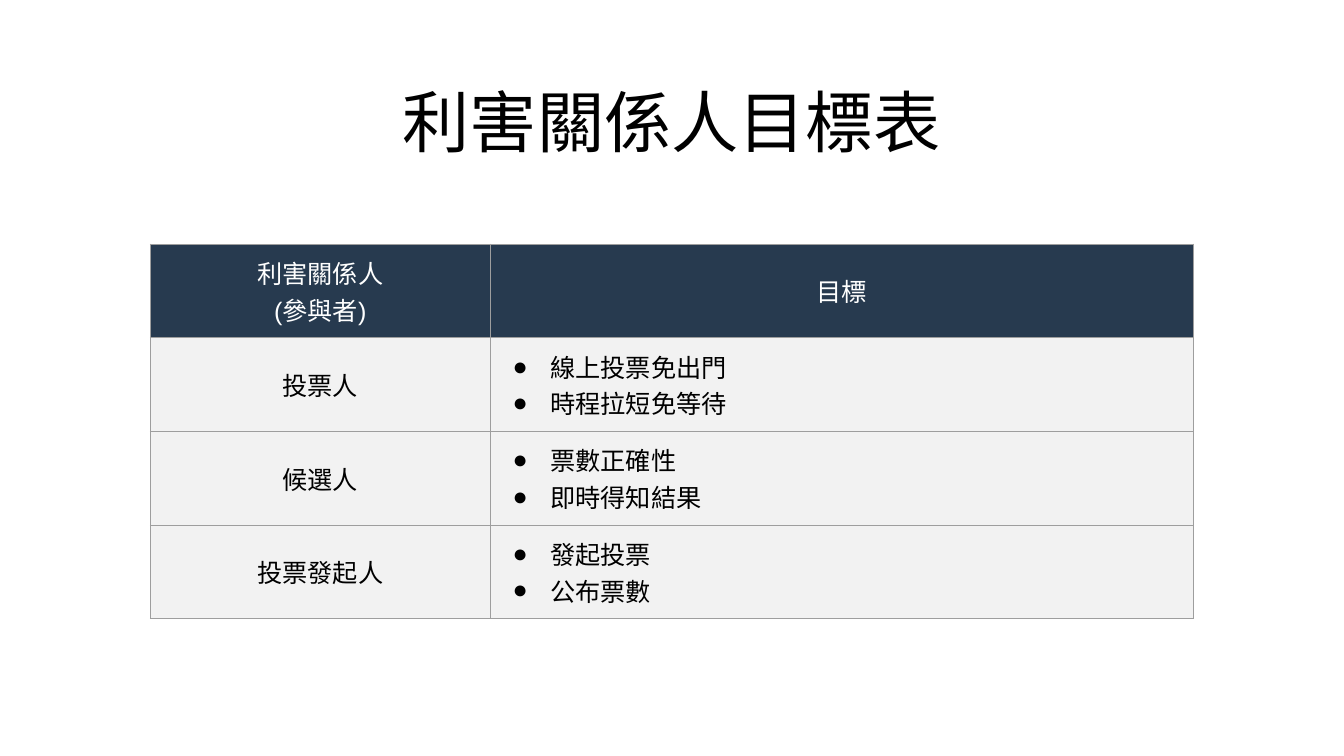
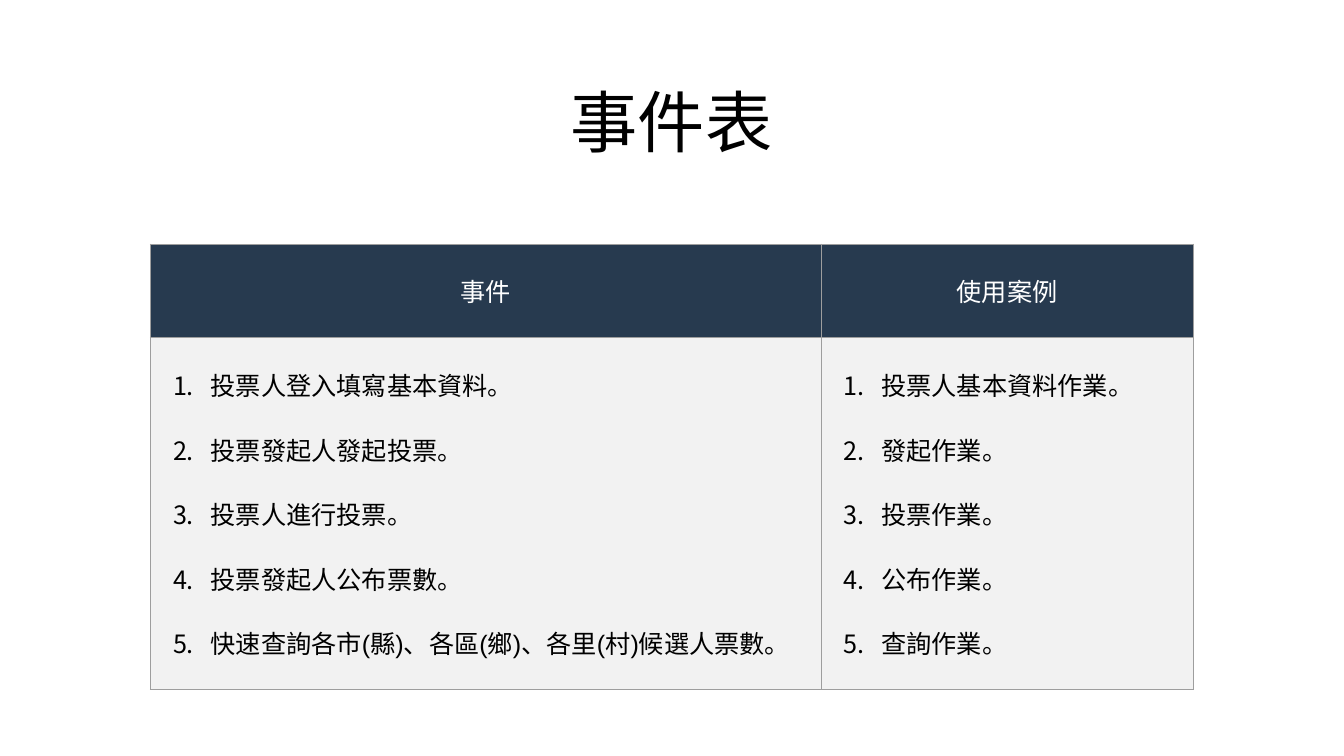
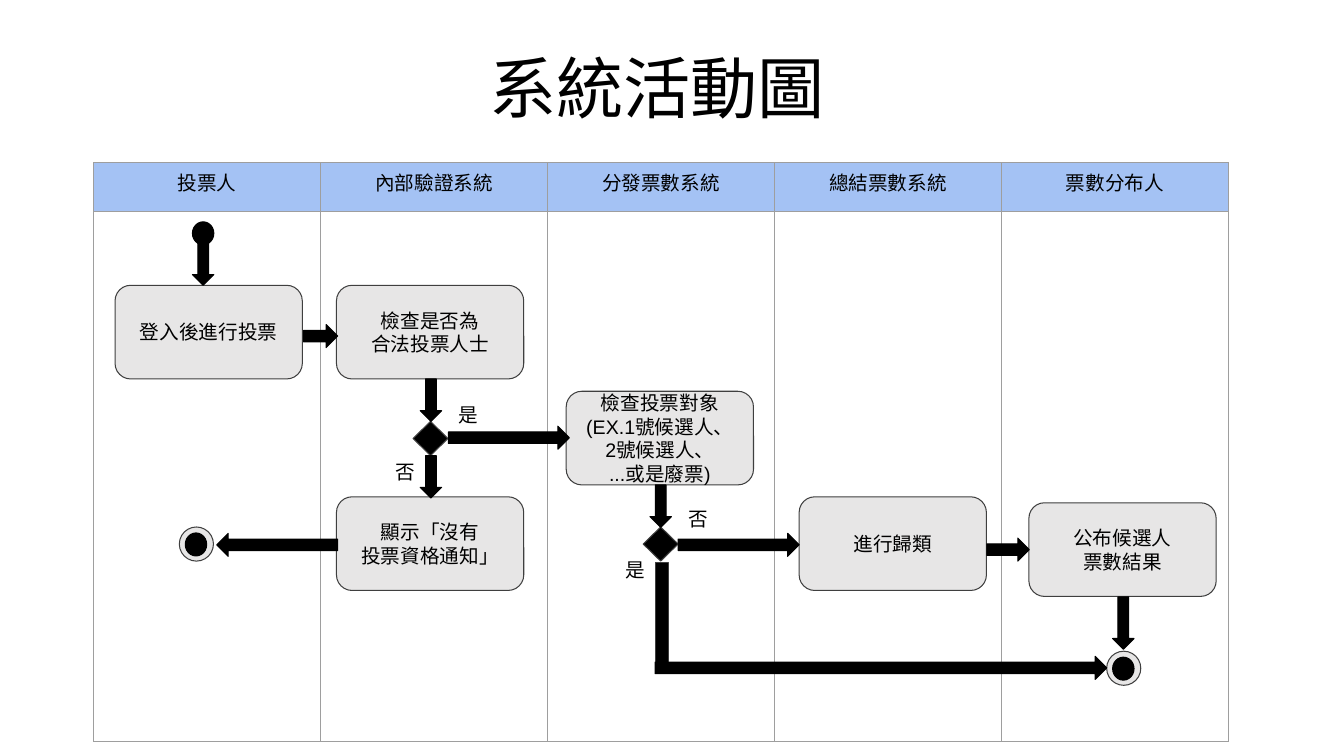
from lxml import etree
from pptx import Presentation
from pptx import util as u
from pptx.dml.color import RGBColor
from pptx.enum import shapes, text
from pptx.oxml import ns

FONT = "Arial"
BLACK, WHITE, NAVY, PALE = "000000", "FFFFFF", "273A4F", "F2F2F2"
BLUE, GREY, OUTLINE, BORDER = "A4C2F4", "E7E6E6", "3F3F3F", "9E9E9E"
INSET = 0.25
TABLE_LEFT, TABLE_TOP, HEADER_HEIGHT = 3.79, 6.15, 2.36
TITLE_BOX = (9.8, 1.78, 14.25, 2.26)

# A cell is (lines, list kind); the kind is None, "bullet" or "number".
GOALS = {
    "title": "利害關係人目標表",
    "columns": [8.56, 17.73],
    "rows": [2.36] * 4,
    "cells": [
        [(["利害關係人", "(參與者)"], None), (["目標"], None)],
        [(["投票人"], None), (["線上投票免出門", "時程拉短免等待"], "bullet")],
        [(["候選人"], None), (["票數正確性", "即時得知結果"], "bullet")],
        [(["投票發起人"], None), (["發起投票", "公布票數"], "bullet")],
    ],
}
EVENTS = {
    "title": "事件表",
    "columns": [16.9, 9.38],
    "rows": [2.36, 8.87],
    "cells": [
        [(["事件"], None), (["使用案例"], None)],
        [(["投票人登入填寫基本資料。", "投票發起人發起投票。", "投票人進行投票。",
           "投票發起人公布票數。",
           "快速查詢各市(縣)、各區(鄉)、各里(村)候選人票數。"], "number"),
         (["投票人基本資料作業。", "發起作業。", "投票作業。", "公布作業。",
           "查詢作業。"], "number")],
    ],
}

ACTIVITY_TITLE = "系統活動圖"
ACTIVITY_TITLE_BOX = (2.26, 0.79, 28.6, 2.79)
LANES = ["投票人", "內部驗證系統", "分發票數系統", "總結票數系統", "票數分布人"]
LANES_LEFT, LANES_TOP, LANE_WIDTH, LANE_ROWS = 2.36, 4.1, 5.72, [1.23, 13.36]

STEP_SIZE = (4.72, 2.36)
STEPS = [  # left, top, lines
    (2.9, 7.19, ["登入後進行投票"]),
    (8.48, 7.19, ["檢查是否為", "合法投票人士"]),
    (14.27, 9.86, ["檢查投票對象(EX.1號候選人、", "2號候選人、", "...或是廢票)"]),
    (8.48, 12.52, ["顯示「沒有", "投票資格通知」"]),
    (20.14, 12.52, ["進行歸類"]),
    (25.93, 12.67, ["公布候選人", "票數結果"]),
]
DOT_SIZE = (0.54, 0.58)
START = (4.85, 5.59)
END_SIZE, END_RIM = 0.86, 0.15
ENDS = [(4.52, 13.28), (27.89, 16.41)]
DECISION_SIZE = (0.88, 0.86)
DECISIONS = [(10.41, 10.62), (16.21, 13.28)]
ARROW_THICKNESS = {"down": 0.54, "right": 0.58, "left": 0.58}
ARROWS = [  # direction, left, top, length
    ("down", 4.85, 5.87, 1.32), ("down", 10.59, 9.55, 1.07),
    ("down", 10.59, 11.48, 1.07), ("down", 16.38, 12.22, 1.07),
    ("down", 28.04, 15.04, 1.32), ("right", 7.65, 8.18, 0.86),
    ("right", 11.3, 10.74, 3.05), ("left", 5.46, 13.44, 3.05),
    ("right", 17.09, 13.44, 3.05), ("right", 24.87, 13.56, 1.07),
    ("right", 16.51, 16.54, 11.38),
]
ELBOW = (16.51, 14.17, 0.33, 2.79)
LABEL_SIZE = 0.86
LABELS = [("是", 11.3, 9.91), ("否", 9.73, 11.33), ("否", 17.09, 12.52),
          ("是", 15.52, 13.82)]


def color(value):
    """Turn a hex string into a colour."""
    return RGBColor.from_string(value)


def lengths(*values):
    """Turn centimetres into slide lengths."""
    return [u.Cm(value) for value in values]


def write(frame, lines, size, ink=BLACK, centred=True, east_asian=True):
    """Fill a text frame with one paragraph per line and style its runs."""
    frame.text = "\n".join(lines)
    for paragraph in frame.paragraphs:
        if centred:
            paragraph.alignment = text.PP_ALIGN.CENTER
        for run in paragraph.runs:
            run.font.name = FONT
            run.font.size = u.Pt(size)
            run.font.bold = False
            run.font.color.rgb = color(ink)
            if east_asian:
                latin = run.font._element.find(ns.qn("a:latin"))
                face = etree.Element(ns.qn("a:ea"), typeface=FONT)
                latin.addnext(face)


def set_insets(holder):
    """Give a text frame or a cell equal margins on all sides."""
    holder.margin_left = holder.margin_right = u.Cm(INSET)
    holder.margin_top = holder.margin_bottom = u.Cm(INSET)


def add_text(slide, box, lines, size, centred=True, anchor=text.MSO_ANCHOR.TOP):
    """Add a wrapping text box."""
    frame = slide.shapes.add_textbox(*lengths(*box)).text_frame
    frame.word_wrap = True
    frame.vertical_anchor = anchor
    set_insets(frame)
    write(frame, lines, size, centred=centred)


def add_list_marks(paragraph, kind):
    """Give a paragraph a hanging bullet or number."""
    properties = paragraph._p.get_or_add_pPr()
    properties.set("marL", str(u.Cm(1.27)))
    properties.set("indent", str(-u.Cm(0.95)))
    ink = etree.SubElement(properties, ns.qn("a:buClr"))
    etree.SubElement(ink, ns.qn("a:srgbClr"), val=BLACK)
    if kind == "bullet":
        etree.SubElement(properties, ns.qn("a:buFont"), typeface=FONT)
        etree.SubElement(properties, ns.qn("a:buChar"), char="●")
    else:
        etree.SubElement(properties, ns.qn("a:buAutoNum"), type="arabicPeriod")


def add_borders(cell):
    """Draw a thin grey line on every side of a cell."""
    properties = cell._tc.get_or_add_tcPr()
    for place, side in enumerate(("lnL", "lnR", "lnT", "lnB")):
        line = etree.Element(ns.qn("a:" + side), w=str(u.Pt(0.75)))
        fill = etree.SubElement(line, ns.qn("a:solidFill"))
        etree.SubElement(fill, ns.qn("a:srgbClr"), val=BORDER)
        properties.insert(place, line)


def add_grid(slide, left, top, columns, rows):
    """Add a table with set column widths, row heights, margins and borders."""
    table = slide.shapes.add_table(
        len(rows), len(columns),
        *lengths(left, top, sum(columns), sum(rows))).table
    table.horz_banding = False
    for column, width in zip(table.columns, columns):
        column.width = u.Cm(width)
    for row, height in zip(table.rows, rows):
        row.height = u.Cm(height)
    for cell in table.iter_cells():
        set_insets(cell)
        cell.fill.background()
        add_borders(cell)
    return table


def paint(cell, fill):
    """Fill a cell with one colour."""
    cell.fill.solid()
    cell.fill.fore_color.rgb = color(fill)


def build_table_slide(slide, content):
    """Build a slide with a title above a table with a dark header."""
    add_text(slide, TITLE_BOX, [content["title"]], 48)
    table = add_grid(slide, TABLE_LEFT, TABLE_TOP, content["columns"], content["rows"])
    for row, entries in enumerate(content["cells"]):
        for column, (lines, kind) in enumerate(entries):
            cell = table.cell(row, column)
            paint(cell, PALE if row else NAVY)
            cell.vertical_anchor = text.MSO_ANCHOR.MIDDLE
            write(cell.text_frame, lines, 18, BLACK if row else WHITE,
                  centred=kind is None, east_asian=False)
            for position, paragraph in enumerate(cell.text_frame.paragraphs):
                if kind == "number" and position:
                    paragraph.space_before = u.Pt(20)
                if kind:
                    add_list_marks(paragraph, kind)


def add_figure(slide, kind, box, fill=BLACK, line=BLACK):
    """Add a filled preset shape with a thin outline."""
    shape = slide.shapes.add_shape(kind, *lengths(*box))
    shape.shadow.inherit = False
    shape.fill.solid()
    shape.fill.fore_color.rgb = color(fill)
    shape.line.color.rgb = color(line)
    shape.line.width = u.Pt(0.75)
    return shape


def add_arrow(slide, direction, left, top, length):
    """Add a block arrow that points down, right or left."""
    thickness = ARROW_THICKNESS[direction]
    if direction == "down":
        add_figure(slide, shapes.MSO_SHAPE.DOWN_ARROW, (left, top, thickness, length))
        return
    arrow = add_figure(slide, shapes.MSO_SHAPE.RIGHT_ARROW,
                       (left, top, length, thickness))
    if direction == "left":
        arrow.rotation = 180


def build_activity_slide(slide):
    """Build the swimlane diagram."""
    preset = shapes.MSO_SHAPE
    lanes = add_grid(slide, LANES_LEFT, LANES_TOP, [LANE_WIDTH] * len(LANES), LANE_ROWS)
    for column, name in enumerate(LANES):
        cell = lanes.cell(0, column)
        paint(cell, BLUE)
        write(cell.text_frame, [name], 14)
    add_text(slide, ACTIVITY_TITLE_BOX, [ACTIVITY_TITLE], 48,
             anchor=text.MSO_ANCHOR.MIDDLE)
    for left, top, lines in STEPS:
        step = add_figure(slide, preset.ROUNDED_RECTANGLE, (left, top, *STEP_SIZE),
                          GREY, OUTLINE)
        step.text_frame.word_wrap = True
        step.text_frame.vertical_anchor = text.MSO_ANCHOR.MIDDLE
        set_insets(step.text_frame)
        write(step.text_frame, lines, 14)
    add_figure(slide, preset.OVAL, (*START, *DOT_SIZE))
    for left, top in DECISIONS:
        add_figure(slide, preset.DIAMOND, (left, top, *DECISION_SIZE), line=OUTLINE)
    for left, top in ENDS:
        add_figure(slide, preset.OVAL, (left, top, END_SIZE, END_SIZE), GREY, OUTLINE)
        add_figure(slide, preset.OVAL, (left + END_RIM, top + END_RIM, *DOT_SIZE))
    add_figure(slide, preset.FLOWCHART_PROCESS, ELBOW, line=OUTLINE)
    for arrow in ARROWS:
        add_arrow(slide, *arrow)
    for word, left, top in LABELS:
        add_text(slide, (left, top, LABEL_SIZE, LABEL_SIZE), [word], 14, centred=False)


def main():
    """Build and save the presentation."""
    presentation = Presentation()
    presentation.slide_width, presentation.slide_height = lengths(33.87, 19.05)
    blank = presentation.slide_layouts[6]
    for content in (GOALS, EVENTS):
        build_table_slide(presentation.slides.add_slide(blank), content)
    build_activity_slide(presentation.slides.add_slide(blank))
    presentation.save("out.pptx")


main()
